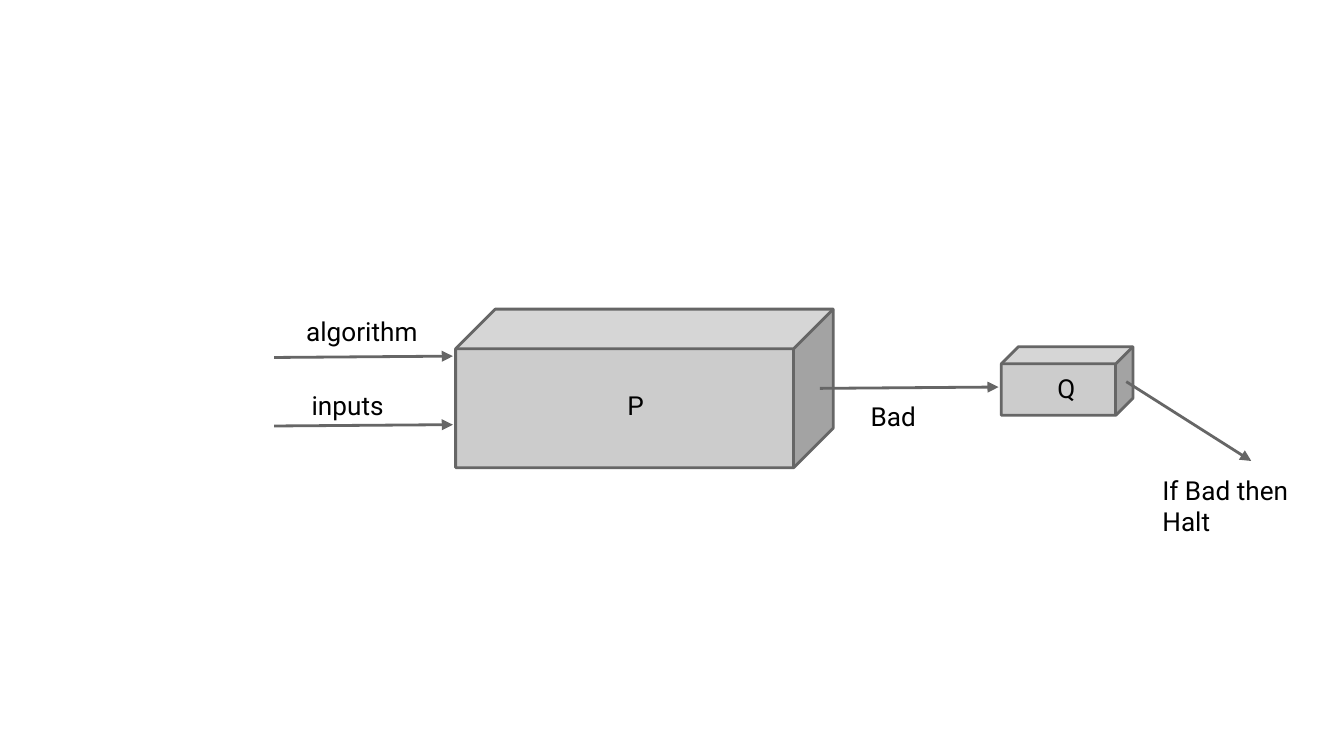
from lxml import etree
from pptx import Presentation
from pptx.dml.color import RGBColor
from pptx.enum import shapes, text
from pptx.oxml import ns
from pptx.util import Inches, Pt

COLORS = {"face": "CCCCCC", "edge": "666666", "ink": "000000"}
LABEL_FORMAT = {"name": "Roboto", "size": Pt(14)}

# Widescreen 16:9 slide
prs = Presentation()
prs.slide_width = Inches(10)
prs.slide_height = Inches(10 * 9 / 16)
slide = prs.slides.add_slide(prs.slide_layouts[6])


def outline(part):
    part.line.color.rgb = RGBColor.from_string(COLORS["edge"])
    part.line.width = Pt(1.5)


# Machines P and Q
for box in [(3.39, 2.3, 2.81, 1.18), (7.45, 2.58, 0.98, 0.51)]:
    machine = slide.shapes.add_shape(
        shapes.MSO_SHAPE.CUBE, *[Inches(v) for v in box])
    machine.adjustments[0] = 0.25
    machine.shadow.inherit = False
    machine.fill.solid()
    machine.fill.fore_color.rgb = RGBColor.from_string(COLORS["face"])
    outline(machine)

# Arrows: two inputs into P, P to Q, Q to its result
for ends in [
    (2.04, 2.66, 3.37, 2.65),
    (2.04, 3.17, 3.37, 3.16),
    (6.1, 2.89, 7.43, 2.88),
    (8.38, 2.84, 9.31, 3.43),
]:
    arrow = slide.shapes.add_connector(
        shapes.MSO_CONNECTOR.STRAIGHT, *[Inches(v) for v in ends])
    outline(arrow)
    etree.SubElement(arrow.line._get_or_add_ln(), ns.qn("a:tailEnd"), type="triangle")
    etree.SubElement(arrow._element.spPr, ns.qn("a:effectLst"))

# Labels
for wording, left, top, width in [
    ("algorithm", 2.18, 2.25, 1.37),
    ("inputs", 2.22, 2.8, 1.37),
    ("Bad", 6.38, 2.88, 1.37),
    ("P", 4.57, 2.8, 0.34),
    ("Q", 7.77, 2.67, 0.34),
    ("If Bad then Halt", 8.55, 3.43, 1.52),
]:
    label = slide.shapes.add_textbox(
        Inches(left), Inches(top), Inches(width), Inches(0.57)).text_frame
    label.word_wrap = True
    label.vertical_anchor = text.MSO_ANCHOR.TOP
    for side in ("left", "top", "right", "bottom"):
        setattr(label, f"margin_{side}", Inches(0.1))
    run = label.paragraphs[0].add_run()
    run.text = wording
    for key, value in LABEL_FORMAT.items():
        setattr(run.font, key, value)
    run.font.color.rgb = RGBColor.from_string(COLORS["ink"])

prs.save("out.pptx")
